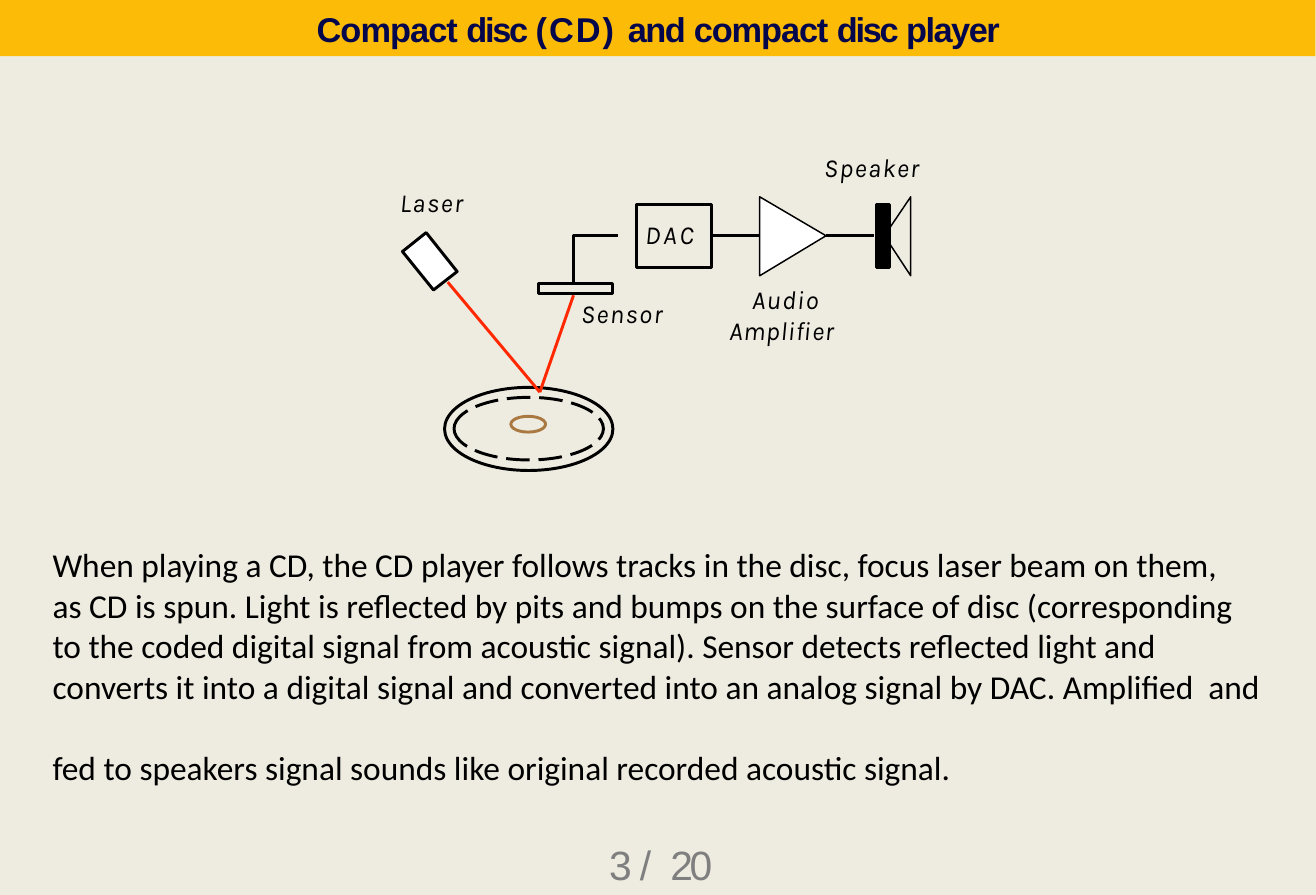
from pptx import Presentation
from pptx.dml.color import RGBColor
from pptx.enum.dml import MSO_LINE
from pptx.enum.shapes import MSO_CONNECTOR, MSO_SHAPE
from pptx.enum.text import MSO_ANCHOR, MSO_AUTO_SIZE, PP_ALIGN
from pptx.oxml.ns import qn
from pptx.util import Cm, Pt
from lxml import etree

CREAM = RGBColor(0xEE, 0xEC, 0xE1)
AMBER = RGBColor(0xFC, 0xBB, 0x06)
NAVY = RGBColor(0x04, 0x06, 0x4C)
BLACK = RGBColor(0, 0, 0)
WHITE = RGBColor(0xFF, 0xFF, 0xFF)
GRAY = RGBColor(0x7F, 0x7F, 0x7F)
RED = RGBColor(0xFF, 0x28, 0x00)
BROWN = RGBColor(0xAA, 0x79, 0x42)

RECTANGLE = MSO_SHAPE.RECTANGLE
OVAL = MSO_SHAPE.OVAL
STRAIGHT = MSO_CONNECTOR.STRAIGHT
LONG_DASH = MSO_LINE.LONG_DASH
FIT_SHAPE = MSO_AUTO_SIZE.SHAPE_TO_FIT_TEXT
MIDDLE = MSO_ANCHOR.MIDDLE
CENTER = PP_ALIGN.CENTER

THICK = 1.58
THIN = 0.79
SIGNAL_Y = 4.48
SYMBOL_TOP, SYMBOL_BOTTOM = 3.74, 5.24
REFLECTION = (10.26, 7.45)

TITLE = [("Compact ", -0.5), ("disc ", -1.2), ("(CD) ", 1.1), ("and ", -0.8),
         ("compact ", -0.6), ("disc ", -1.2), ("player", -0.8)]
PAGE_NUMBER = [("3 ", -1.8), ("/", 4.3), (" ", 0), ("20", -1.8)]
DESCRIPTION = (
    "When playing a CD, the CD player follows tracks in the disc, focus laser beam on them, \v"
    "as CD is spun. Light is reflected by pits and bumps on the surface of disc (corresponding \v"
    "to the coded digital signal from acoustic signal). Sensor detects reflected light and \v"
    "converts it into a digital signal and converted into an analog signal by DAC. Amplified  and \v"
    "fed to speakers signal sounds like original recorded acoustic signal."
)


def style(shape, fill, line, width=THICK):
    shape.shadow.inherit = False
    if fill is None:
        shape.fill.background()
    else:
        shape.fill.solid()
        shape.fill.fore_color.rgb = fill
    if line is None:
        shape.line.fill.background()
    else:
        shape.line.color.rgb = line
        shape.line.width = Pt(width)
    return shape


def add_block(slide, kind, box, fill=None, line=BLACK):
    shape = slide.shapes.add_shape(kind, *map(Cm, box))
    return style(shape, fill, line)


def add_outline(slide, points, fill=None, width=THICK, close=True):
    corners = [(Cm(x), Cm(y)) for x, y in points]
    builder = slide.shapes.build_freeform(*corners[0])
    builder.add_line_segments(corners[1:], close=close)
    return style(builder.convert_to_shape(), fill, BLACK, width)


def add_line(slide, start, end, color=BLACK):
    line = slide.shapes.add_connector(STRAIGHT, *map(Cm, start + end))
    line.line.color.rgb = color
    line.line.width = Pt(THICK)
    properties = line._element.find(qn("p:spPr"))
    etree.SubElement(properties, qn("a:effectLst"))


def set_font(paragraph, name, size, color):
    font = paragraph.font
    font.name = name
    font.size = Pt(size)
    font.color.rgb = color
    return font


def add_runs(paragraph, runs):
    for text, tracking in runs:
        run = paragraph.add_run()
        run.text = text
        run._r.get_or_add_rPr().set("spc", str(round(tracking * 100)))


def add_text_box(slide, box, top_inset=0.05, space_before=1.2):
    frame = slide.shapes.add_textbox(*map(Cm, box)).text_frame
    frame.word_wrap = True
    frame.auto_size = FIT_SHAPE
    frame.margin_left = frame.margin_right = frame.margin_bottom = 0
    frame.margin_top = Cm(top_inset)
    paragraph = frame.paragraphs[0]
    paragraph.space_before = Pt(space_before)
    return paragraph


def write_label(paragraph, runs):
    set_font(paragraph, "Karla", 14, BLACK).italic = True
    add_runs(paragraph, runs)


def add_heading(slide):
    add_block(slide, RECTANGLE, (0, 0, 25, 1.07), AMBER, None)
    title = add_text_box(slide, (6.02, 0.11, 13.36, 0.86))
    set_font(title, "Arial", 18.5, NAVY).bold = True
    add_runs(title, TITLE)


def add_disc(slide):
    add_block(slide, OVAL, (8.45, 7.36, 3.2, 1.58))
    track = add_block(slide, OVAL, (8.63, 7.55, 2.84, 1.19))
    track.line.dash_style = LONG_DASH
    add_block(slide, OVAL, (9.71, 7.91, 0.66, 0.3), line=BROWN)


def add_optics(slide):
    add_block(slide, RECTANGLE, (10.23, 5.38, 1.42, 0.2))
    for source in ((10.9, 5.61), (8.51, 5.36)):
        add_line(slide, source, REFLECTION, RED)
    add_outline(slide, [(8.1, 4.42), (7.65, 4.78), (8.24, 5.51), (8.69, 5.16)], WHITE)


def add_signal_chain(slide):
    add_outline(slide, [(10.9, 5.38), (10.9, SIGNAL_Y), (11.74, SIGNAL_Y)], close=False)
    converter = add_block(slide, RECTANGLE, (12.1, 3.89, 1.42, 1.19)).text_frame
    converter.margin_left = converter.margin_top = 0
    converter.margin_right = Cm(0.17)
    converter.margin_bottom = Cm(0.07)
    converter.vertical_anchor = MIDDLE
    converter.paragraphs[0].alignment = CENTER
    write_label(converter.paragraphs[0], [("DAC", 1.4)])
    for left, right in ((13.54, 14.48), (15.7, 16.62)):
        add_line(slide, (left, SIGNAL_Y), (right, SIGNAL_Y))
    amplifier = [(14.44, SYMBOL_TOP), (15.7, SIGNAL_Y), (14.44, SYMBOL_BOTTOM)]
    add_outline(slide, amplifier, WHITE, THIN)
    add_block(slide, RECTANGLE, (16.66, 3.89, 0.25, 1.19), BLACK)
    cone = [(17.31, SYMBOL_TOP), (16.81, SIGNAL_Y), (17.31, SYMBOL_BOTTOM)]
    add_outline(slide, cone, width=THIN)


def add_labels(slide):
    for text, tracking, box in (
        ("Laser", 0.8, (7.6, 3.5, 1.4, 0.66)),
        ("Sensor", 0.8, (11.04, 5.61, 1.7, 0.66)),
        ("Speaker", 0.7, (15.66, 2.82, 2, 0.66)),
    ):
        write_label(add_text_box(slide, box), [(text, tracking)])
    amplifier = add_text_box(slide, (13.86, 5.32, 2.28, 1.24), 0.08, 1.9)
    amplifier.line_spacing = Pt(16.6)
    amplifier._p.get_or_add_pPr().set("indent", str(Cm(0.43)))
    write_label(amplifier, [("Audio ", 0.7), ("Amplifier", 0.4)])


def add_description(slide):
    description = add_text_box(slide, (1, 10.31, 23.04, 4.01), 0.03, 0.8)
    description.line_spacing = 1.01
    set_font(description, "Calibri", 18, BLACK)
    description.text = DESCRIPTION


def add_page_number(slide):
    number = add_text_box(slide, (11.58, 16.1, 2.14, 0.79), 0, 0)
    number.line_spacing = Pt(22.3)
    set_font(number, "Arial", 22, GRAY)
    add_runs(number, PAGE_NUMBER)


def main():
    presentation = Presentation()
    presentation.slide_width = Pt(709)
    presentation.slide_height = Pt(482)
    slide = presentation.slides.add_slide(presentation.slide_layouts[6])
    slide.background.fill.solid()
    slide.background.fill.fore_color.rgb = CREAM
    add_heading(slide)
    add_disc(slide)
    add_optics(slide)
    add_signal_chain(slide)
    add_labels(slide)
    add_description(slide)
    add_page_number(slide)
    presentation.save("out.pptx")


if __name__ == "__main__":
    main()
